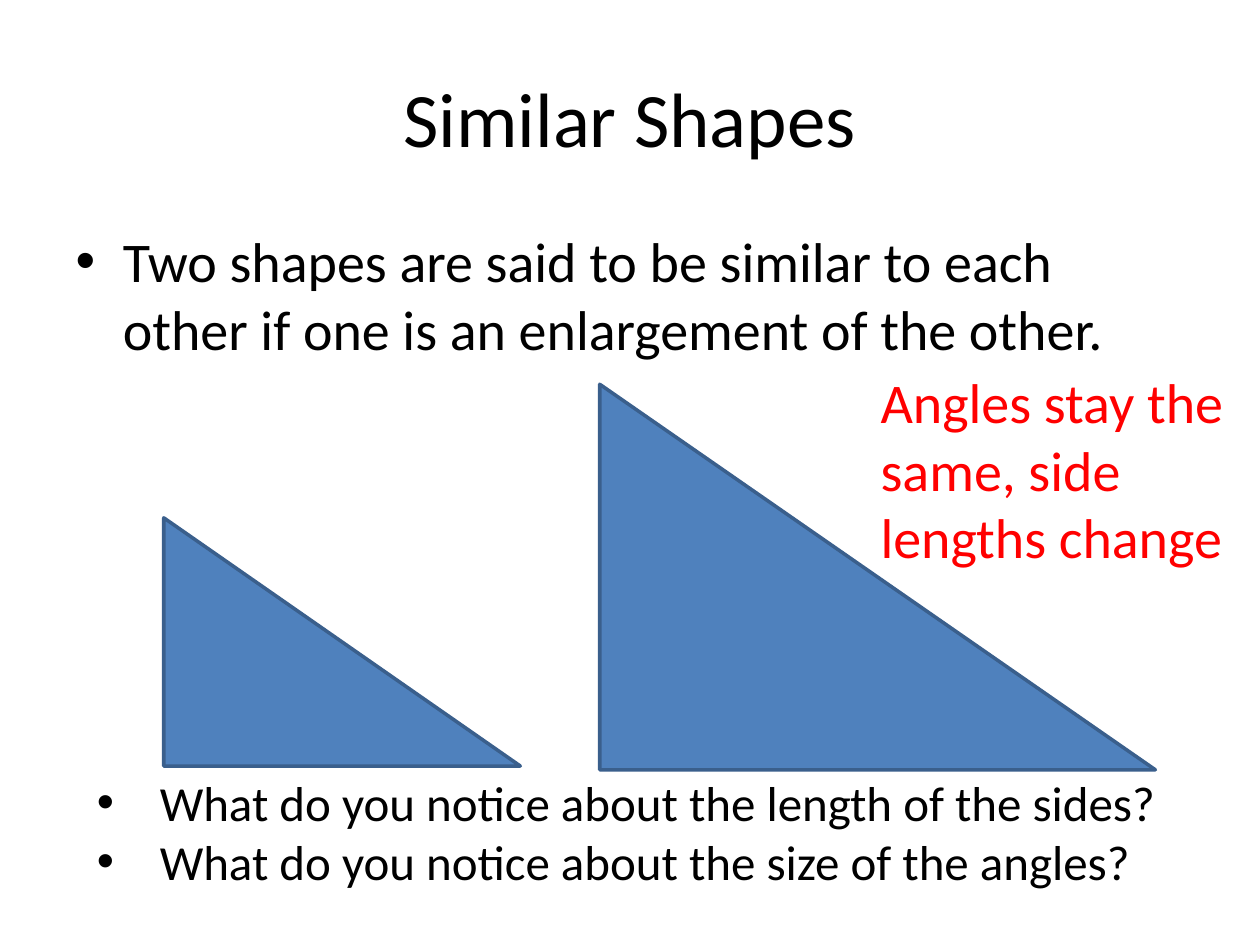
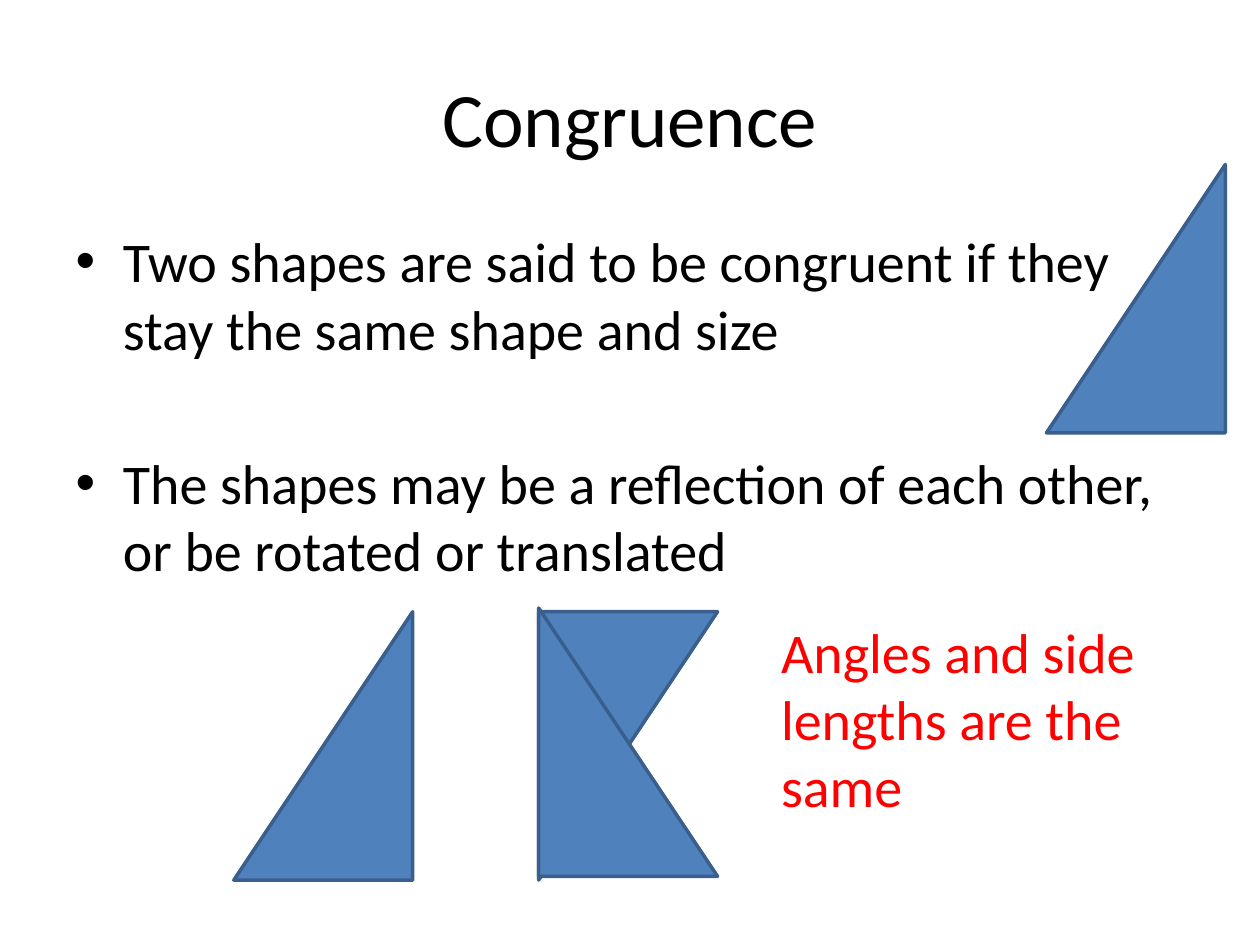
from lxml import etree
from pptx import Presentation
from pptx.dml.color import RGBColor
from pptx.enum.shapes import MSO_SHAPE
from pptx.enum.text import MSO_ANCHOR, MSO_AUTO_SIZE, PP_ALIGN
from pptx.oxml.ns import qn
from pptx.util import Inches, Pt

RIGHT_TRIANGLE = MSO_SHAPE.RIGHT_TRIANGLE
MIDDLE = MSO_ANCHOR.MIDDLE
CENTER = PP_ALIGN.CENTER
FIXED = MSO_AUTO_SIZE.NONE
GROW = MSO_AUTO_SIZE.SHAPE_TO_FIT_TEXT
TITLE_AND_CONTENT = 1
COLUMNS, ROWS = 20, 15


def color(hex_value):
    return RGBColor.from_string(hex_value)


def apply_format(target, values):
    for name, value in values.items():
        setattr(target, name, value)


class LessonDeck:
    black, red = "000000", "FF0000"
    fill, outline = "4F81BD", "3A5F8C"
    font_name = "Calibri"
    title_size, body_size, question_size = 44, 32, 28
    title_area = (1, 0.6, 18, 2.5)
    body_area = (1, 3.5, 18, 9.9)
    bullet_gap = 50
    bullet_indent = Inches(0.5)

    def __init__(self):
        self.presentation = Presentation()
        self.presentation.slide_width = Inches(10)
        self.presentation.slide_height = Inches(7.5)
        self.slide = None

    def place(self, left, top, width, height):
        column = self.presentation.slide_width / COLUMNS
        row = self.presentation.slide_height / ROWS
        return {"left": round(left * column), "top": round(top * row),
                "width": round(width * column), "height": round(height * row)}

    def fill_text(self, frame, lines, size, hex_value, gap=0, **paragraph_format):
        frame.word_wrap = True
        for index, line in enumerate(lines):
            paragraph = frame.add_paragraph() if index else frame.paragraphs[0]
            paragraph.text = line
            apply_format(paragraph, {"space_before": Pt(gap if index else 0),
                                     **paragraph_format})
            apply_format(paragraph.font, {"name": self.font_name, "size": Pt(size)})
            paragraph.font.color.rgb = color(hex_value)

    def add_slide(self, title, points):
        layout = self.presentation.slide_layouts[TITLE_AND_CONTENT]
        self.slide = self.presentation.slides.add_slide(layout)
        heading, body = self.slide.placeholders
        apply_format(heading, self.place(*self.title_area))
        apply_format(body, self.place(*self.body_area))
        for placeholder in (heading, body):
            placeholder.text_frame.auto_size = FIXED
        heading.text_frame.vertical_anchor = MIDDLE
        self.fill_text(heading.text_frame, [title], self.title_size, self.black,
                       alignment=CENTER)
        self.fill_text(body.text_frame, points, self.body_size, self.black,
                       self.bullet_gap)

    def add_triangle(self, area, rotation=0, mirrored=False):
        triangle = self.slide.shapes.add_shape(RIGHT_TRIANGLE, **self.place(*area))
        triangle.shadow.inherit = False
        triangle.rotation = rotation
        triangle.fill.solid()
        triangle.fill.fore_color.rgb = color(self.fill)
        triangle.line.color.rgb = color(self.outline)
        triangle.line.width = Pt(2)
        if mirrored:
            triangle.element.spPr.find(qn("a:xfrm")).set("flipH", "1")

    def add_text(self, area, lines, size, hex_value):
        box = self.slide.shapes.add_textbox(**self.place(*area))
        self.fill_text(box.text_frame, lines, size, hex_value)
        box.text_frame.auto_size = GROW
        return box

    def add_conclusion(self, area, text):
        self.add_text(area, [text], self.body_size, self.red)

    def add_questions(self, area, questions):
        box = self.add_text(area, questions, self.question_size, self.black)
        for paragraph in box.text_frame.paragraphs:
            properties = paragraph._p.get_or_add_pPr()
            properties.set("marL", str(self.bullet_indent))
            properties.set("indent", str(-self.bullet_indent))
            bullet_font = etree.Element(qn("a:buFont"), typeface="Arial")
            bullet = etree.Element(qn("a:buChar"), char="•")
            defaults = properties.find(qn("a:defRPr"))
            defaults.addprevious(bullet_font)
            defaults.addprevious(bullet)


def build_similar_shapes(deck):
    deck.add_slide("Similar Shapes", [
        "Two shapes are said to be similar to each other if one is an "
        "enlargement of the other."])
    deck.add_triangle((2.6, 8.22, 5.66, 3.94))
    deck.add_triangle((9.52, 6.1, 8.82, 6.12))
    deck.add_questions((1.34, 12.16, 17.8, 2.08), [
        "What do you notice about the length of the sides?",
        "What do you notice about the size of the angles?"])
    deck.add_conclusion((13.78, 5.74, 6.3, 3.44),
                        "Angles stay the same, side lengths change")


def build_congruence(deck):
    deck.add_slide("Congruence", [
        "Two shapes are said to be congruent if they stay the same shape and size",
        "The shapes may be a reflection of each other, or be rotated or translated"])
    triangle_size = (4.26, 2.84)
    for left, top, rotation, mirrored in (
            (3, 10.42, 270, False),
            (7.84, 10.42, 90, False),
            (7.84, 10.36, 90, True),
            (15.9, 3.32, 270, False)):
        deck.add_triangle((left, top, *triangle_size), rotation, mirrored)
    deck.add_conclusion((12.2, 9.7, 7.24, 3.44),
                        "Angles and side lengths are the same")


def main():
    deck = LessonDeck()
    build_similar_shapes(deck)
    build_congruence(deck)
    deck.presentation.save("out.pptx")


if __name__ == "__main__":
    main()
